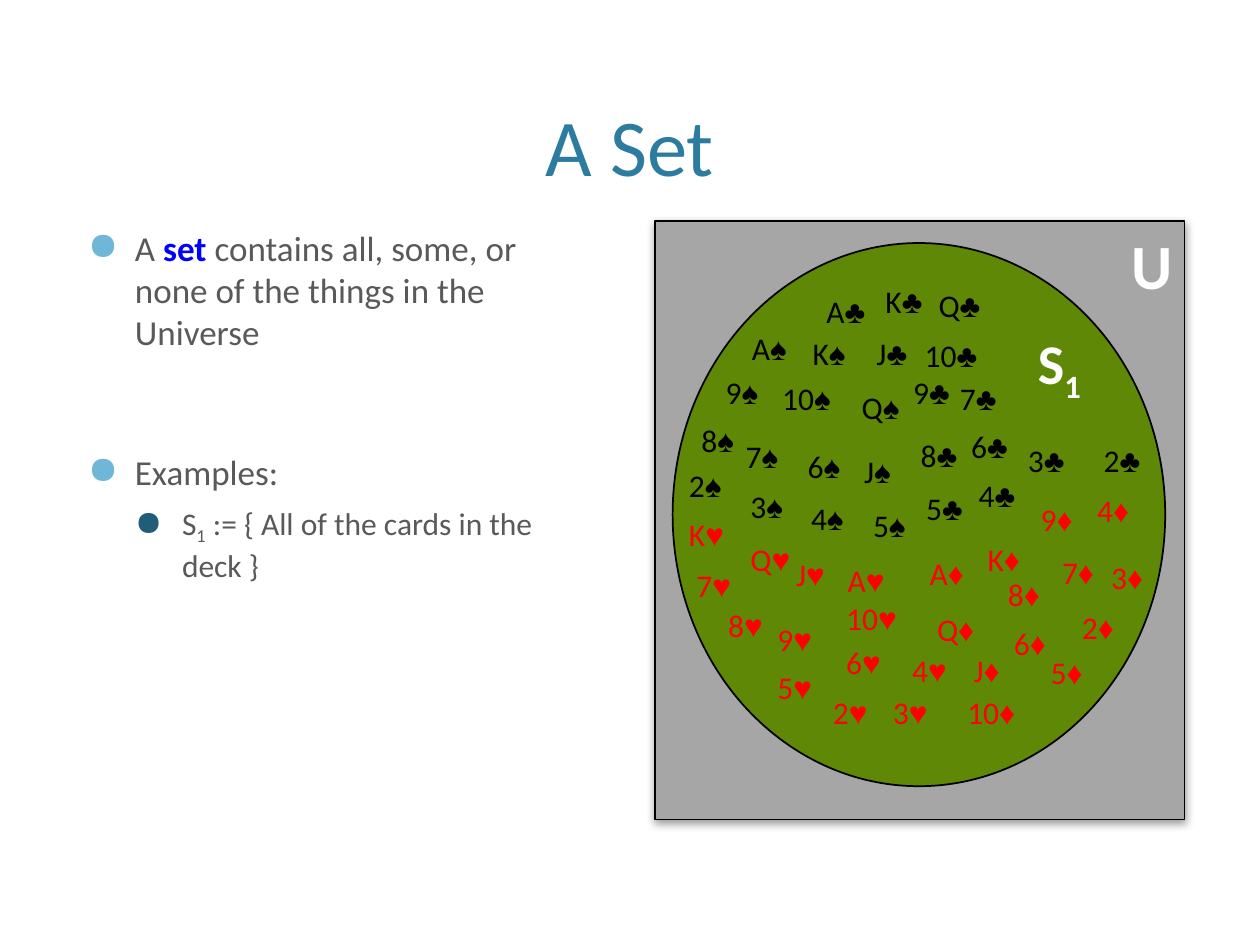
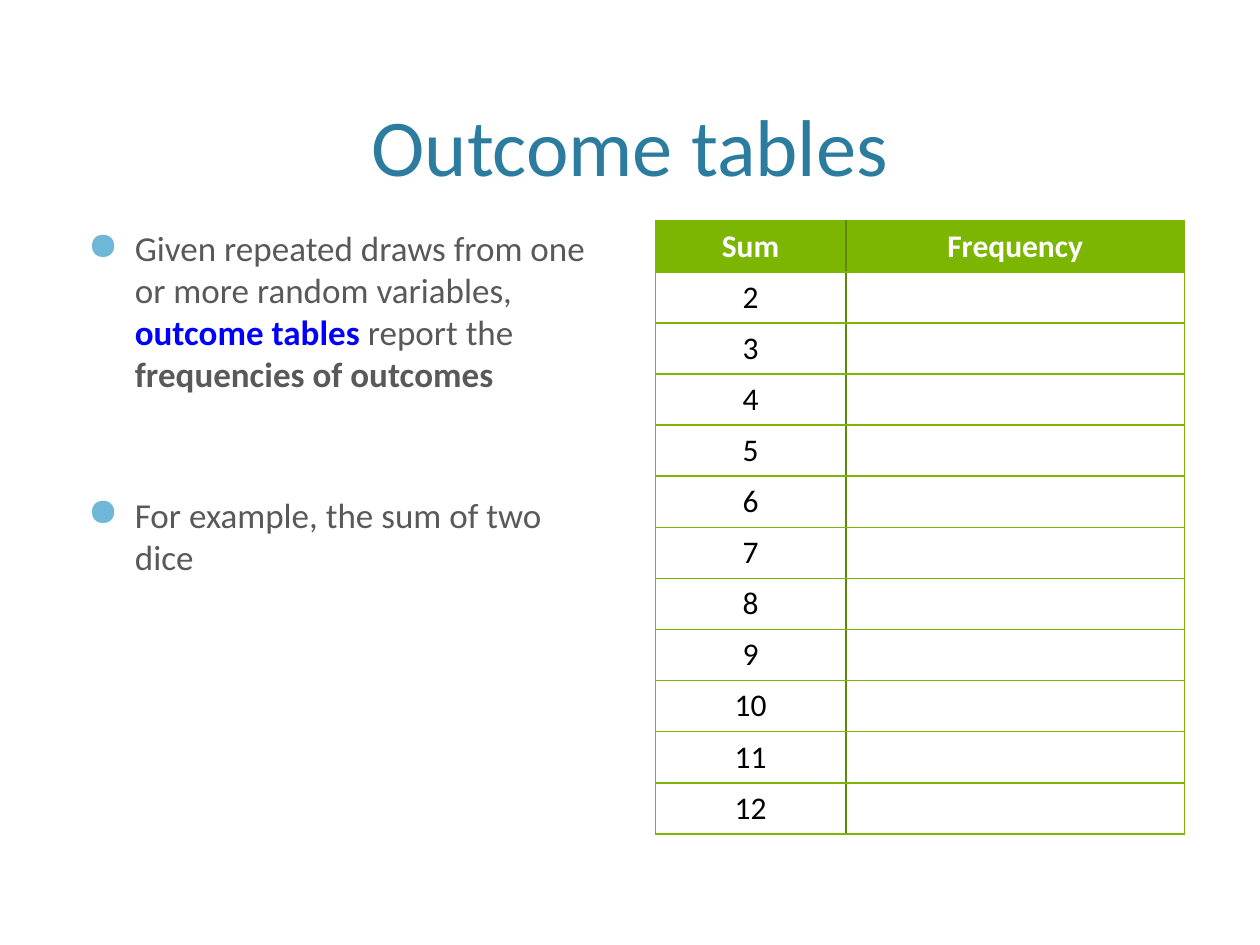
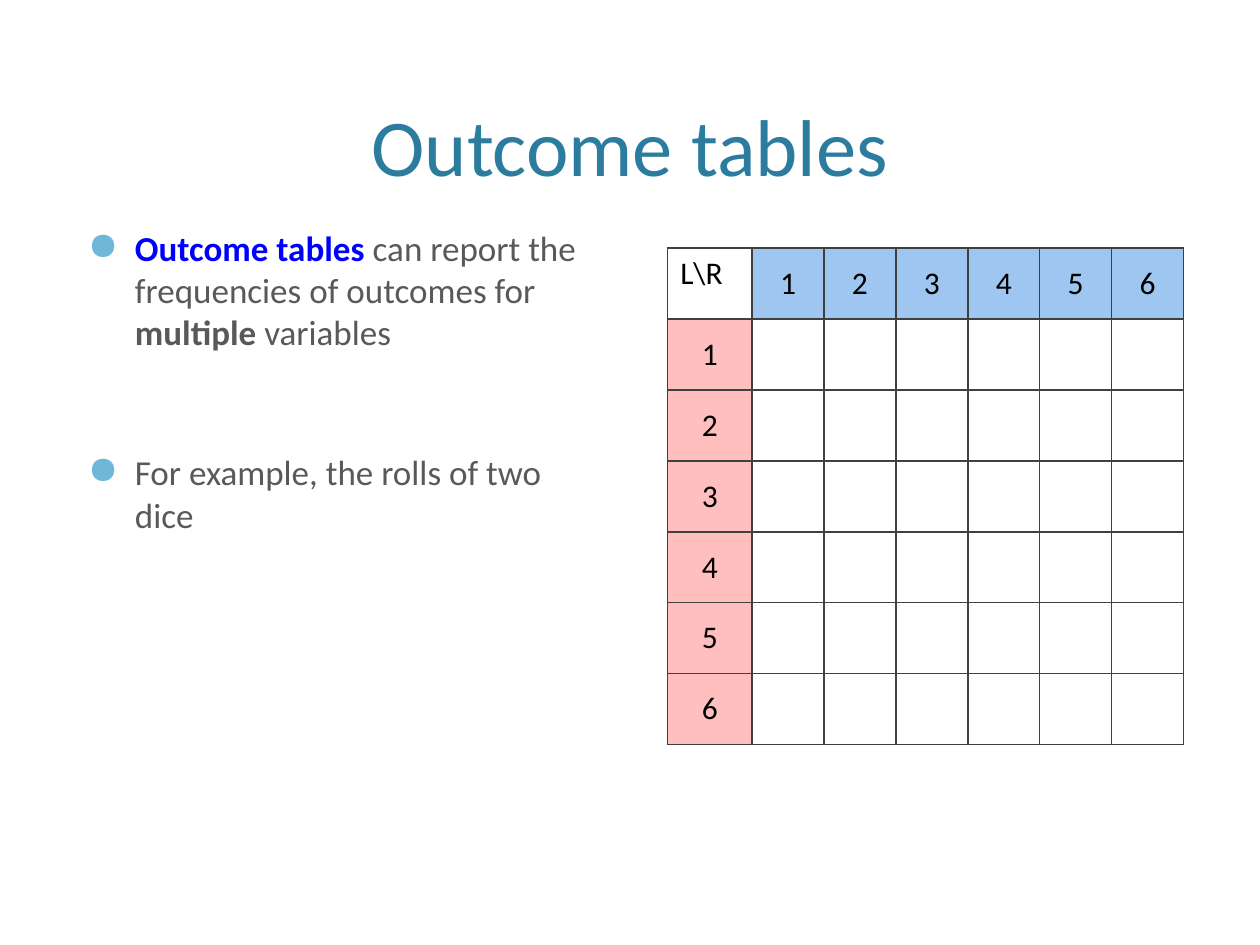
from dataclasses import dataclass
from typing import NamedTuple

from lxml import etree
from pptx import Presentation
from pptx import util as u
from pptx.dml.color import RGBColor
from pptx.enum import shapes, text
from pptx.oxml.ns import qn
from pptx.slide import Slide

# Colours
BLACK = RGBColor(0x00, 0x00, 0x00)
WHITE = RGBColor(0xFF, 0xFF, 0xFF)
RED = RGBColor(0xFF, 0x00, 0x00)
BLUE = RGBColor(0x00, 0x00, 0xFF)
TEAL = RGBColor(0x2C, 0x7C, 0x9F)
SKY = RGBColor(0x6F, 0xB7, 0xD7)
DEEP = RGBColor(0x21, 0x5D, 0x77)
SLATE = RGBColor(0x59, 0x59, 0x59)
GRAY = RGBColor(0xA6, 0xA6, 0xA6)
DARK = RGBColor(0x40, 0x40, 0x40)
LIME = RGBColor(0x7D, 0xB6, 0x02)
MOSS = RGBColor(0x5E, 0x88, 0x05)
PALE = RGBColor(0x9F, 0xC6, 0xF0)
PINK = RGBColor(0xFF, 0xBF, 0xBF)

FONT = "Calibri"
LEFT, MID, ALIGN = text.PP_ALIGN.LEFT, text.MSO_ANCHOR.MIDDLE, text.PP_ALIGN
GAP = 56  # points between bullet groups


class Box(NamedTuple):
    """A frame in centimetres."""
    x: float
    y: float
    w: float
    h: float

    def emu(self) -> list[u.Length]:
        return [u.Cm(n) for n in self]


class Bit(NamedTuple):
    """A stretch of text in one style."""
    text: str
    bold: bool | None = None
    color: RGBColor | None = None
    font: str | None = None
    low: bool = False


class Mark(NamedTuple):
    """A bullet level."""
    left: float
    hang: float
    size: int
    color: RGBColor


@dataclass
class Item:
    """A bulleted paragraph."""
    bits: list[Bit]
    mark: Mark
    space: int = 16


@dataclass
class Suit:
    """A card suit, with a spot for each rank."""
    sign: str
    color: RGBColor
    bold: bool
    spots: list[tuple[float, float]]


TITLE = Box(1.52, 0.3, 22.35, 3.71)
BODY = Box(1.52, 4.45, 10.67, 12.07)
WORLD = Box(13.21, 4.45, 10.67, 12.07)
SET = Box(13.56, 4.9, 9.93, 10.95)
MAIN = Mark(0.95, 0.95, 20, SKY)
SUB = Mark(1.9, 0.95, 18, DEEP)

RANKS = ["K", "A", "Q", "J", "10", "9", "8", "7", "6", "5", "4", "3", "2"]
WIDTHS = {"K": 1.42, "Q": 1.47, "J": 1.32, "10": 1.8}
SUITS = [
    Suit("♠", BLACK, True, [
        (16.13, 6.6), (14.91, 6.5), (17.12, 7.7), (17.17, 8.99), (15.52, 7.52),
        (14.38, 7.39), (13.89, 8.36), (14.78, 8.69), (16.03, 8.89),
        (17.35, 10.08), (16.1, 9.93), (14.88, 9.7), (13.64, 9.27)]),
    Suit("♣", BLACK, True, [
        (17.6, 5.56), (16.41, 5.77), (18.67, 5.64), (17.42, 6.6), (18.39, 6.65),
        (18.16, 7.39), (18.31, 8.66), (19.1, 7.52), (19.33, 8.48),
        (18.42, 9.73), (19.48, 9.47), (20.47, 8.76), (22, 8.76)]),
    Suit("♥", RED, True, [
        (13.64, 10.26), (16.84, 11.18), (14.88, 10.77), (15.8, 11.07),
        (16.81, 11.96), (15.42, 12.37), (14.43, 12.09), (13.79, 11.28),
        (16.81, 12.83), (15.42, 13.34), (18.14, 13), (17.75, 13.84),
        (16.54, 13.84)]),
    Suit("♦", RED, False, [
        (19.66, 10.77), (18.49, 11.05), (18.64, 12.17), (19.38, 13),
        (19.25, 13.84), (20.73, 9.96), (20.07, 11.46), (21.16, 11.02),
        (20.19, 12.45), (20.93, 13.03), (21.87, 9.78), (22.15, 11.13),
        (21.56, 12.14)]),
]


# Text
def write(para, bits: list[Bit], size: int, color: RGBColor,
          align=LEFT, bold: bool = False) -> None:
    para.alignment = align
    font = para.font
    font.name, font.size, font.bold = FONT, u.Pt(size), bold
    font.color.rgb = color
    for bit in bits:
        run = para.add_run()
        run.text = bit.text
        if bit.bold is not None:
            run.font.bold = bit.bold
        if bit.color is not None:
            run.font.color.rgb = bit.color
        if bit.font:
            run.font.name = bit.font
        if bit.low:
            run.font._element.set("baseline", "-25000")


def bullet(para, mark: Mark) -> None:
    props = para._p.get_or_add_pPr()
    props.set("marL", str(u.Cm(mark.left)))
    props.set("indent", str(-u.Cm(mark.hang)))
    tint = etree.SubElement(props, qn("a:buClr"))
    etree.SubElement(tint, qn("a:srgbClr"), val=str(mark.color))
    etree.SubElement(props, qn("a:buSzPct"), val="110000")
    etree.SubElement(props, qn("a:buChar"), char="●")


def page(deck, title: str, items: list[Item]) -> Slide:
    """Add a slide with its title and its bullets on the left."""
    slide = deck.slides.add_slide(deck.slide_layouts[6])
    head = slide.shapes.add_textbox(*TITLE.emu()).text_frame
    head.word_wrap = True
    head.vertical_anchor = text.MSO_ANCHOR.BOTTOM
    write(head.paragraphs[0], [Bit(title)], 46, TEAL, ALIGN.CENTER)

    body = slide.shapes.add_textbox(*BODY.emu()).text_frame
    body.word_wrap = True
    for i, item in enumerate(items):
        para = body.add_paragraph() if i else body.paragraphs[0]
        para.space_before = u.Pt(item.space)
        bullet(para, item.mark)
        write(para, item.bits, item.mark.size, SLATE)
    return slide


# Shapes
def region(slide: Slide, kind, box: Box, fill: RGBColor,
           bits: list[Bit], size: int):
    shape = slide.shapes.add_shape(kind, *box.emu())
    shape.shadow.inherit = False
    shape.fill.solid()
    shape.fill.fore_color.rgb = fill
    shape.line.color.rgb = BLACK
    shape.line.width = u.Pt(1)
    shape.text_frame.vertical_anchor = text.MSO_ANCHOR.TOP
    write(shape.text_frame.paragraphs[0], bits, size, WHITE, ALIGN.RIGHT, True)
    return shape


def shade(shape) -> None:
    """Drop a soft shadow straight down."""
    effect = shape._element.spPr.find(qn("a:effectLst"))
    outer = etree.SubElement(
        effect, qn("a:outerShdw"), blurRad=str(u.Pt(5)), dist=str(u.Pt(2)),
        dir="5400000", rotWithShape="0")
    tint = etree.SubElement(outer, qn("a:srgbClr"), val=str(BLACK))
    etree.SubElement(tint, qn("a:alpha"), val="40000")


def card(slide: Slide, rank: str, suit: Suit, x: float, y: float) -> None:
    box = Box(x, y, WIDTHS.get(rank, 1.4), 1.02)
    frame = slide.shapes.add_textbox(*box.emu()).text_frame
    frame.word_wrap = False
    frame.auto_size = text.MSO_AUTO_SIZE.SHAPE_TO_FIT_TEXT
    sign = Bit(suit.sign, bold=suit.bold, font="Arial")
    write(frame.paragraphs[0], [Bit(rank), sign], 18, suit.color)


# Tables
def grid(slide: Slide, x: float, y: float, cols: list[float],
         rows: list[float]):
    box = Box(x, y, sum(cols), sum(rows))
    table = slide.shapes.add_table(len(rows), len(cols), *box.emu()).table
    table.first_row = table.horz_banding = False
    for col, width in zip(table.columns, cols):
        col.width = u.Cm(width)
    for row, height in zip(table.rows, rows):
        row.height = u.Cm(height)
    return table


def cell(table, row: int, col: int, words: str, edges: dict[str, RGBColor],
         fill: RGBColor = WHITE, color: RGBColor = BLACK, bold: bool = False,
         align=ALIGN.CENTER, anchor=text.MSO_ANCHOR.TOP) -> None:
    spot = table.cell(row, col)
    props = spot._tc.get_or_add_tcPr()
    for side, tint in edges.items():
        line = etree.SubElement(props, qn(f"a:ln{side}"), w=str(u.Pt(1)))
        solid = etree.SubElement(line, qn("a:solidFill"))
        etree.SubElement(solid, qn("a:srgbClr"), val=str(tint))
    spot.fill.solid()
    spot.fill.fore_color.rgb = fill
    spot.vertical_anchor = anchor
    bits = [Bit(words)] if words else []
    write(spot.text_frame.paragraphs[0], bits, 18, color, align, bold)


# Slides
def cards(deck) -> None:
    slide = page(deck, "A Set", [
        Item([Bit("A "), Bit("set", True, BLUE),
              Bit(" contains all, some, or none of the things in the Universe")],
             MAIN),
        Item([Bit("Examples:")], MAIN, GAP),
        Item([Bit("S"), Bit("1", low=True),
              Bit(" := { All of the cards in the deck }")], SUB, 6),
    ])
    kinds = shapes.MSO_SHAPE
    shade(region(slide, kinds.RECTANGLE, WORLD, GRAY, [Bit("U")], 36))
    region(slide, kinds.OVAL, SET, MOSS, [Bit("S"), Bit("1", low=True)], 32)
    for suit in SUITS:
        for rank, (x, y) in zip(RANKS, suit.spots):
            card(slide, rank, suit, x, y)


def sums(deck) -> None:
    slide = page(deck, "Outcome tables", [
        Item([Bit("Given repeated draws from one or more random variables, "),
              Bit("outcome tables ", True, BLUE), Bit("report the "),
              Bit("frequencies of outcomes", True)], MAIN),
        Item([Bit("For example, the sum of two dice")], MAIN, GAP),
    ])
    table = grid(slide, WORLD.x, WORLD.y, [3.84, 6.83], [1.03] * 12)
    lines = [("Sum", "Frequency")] + [(str(n), "") for n in range(2, 13)]
    for row, line in enumerate(lines):
        look = {} if row else {"fill": LIME, "color": WHITE, "bold": True}
        for col, words in enumerate(line):
            edges = {"L": MOSS if col else LIME, "R": LIME if col else MOSS,
                     "T": LIME, "B": LIME}
            cell(table, row, col, words, edges, **look)


def rolls(deck) -> None:
    slide = page(deck, "Outcome tables", [
        Item([Bit("Outcome tables ", True, BLUE),
              Bit("can report the frequencies of outcomes for "),
              Bit("multiple", True), Bit(" variables")], MAIN),
        Item([Bit("For example, the rolls of two dice")], MAIN, GAP),
    ])
    table = grid(slide, 13.46, 5, [1.7] + [1.45] * 6, [1.43] * 7)
    edges = dict.fromkeys("LRTB", DARK)
    cell(table, 0, 0, "L\\R", edges, align=LEFT)
    for n in range(1, 7):
        cell(table, 0, n, str(n), edges, PALE, anchor=MID)
        cell(table, n, 0, str(n), edges, PINK, anchor=MID)
        for col in range(1, 7):
            cell(table, n, col, "", edges)


def main() -> None:
    deck = Presentation()
    deck.slide_width, deck.slide_height = u.Cm(25.4), u.Cm(19.05)
    cards(deck)
    sums(deck)
    rolls(deck)
    deck.save("out.pptx")


if __name__ == "__main__":
    main()
